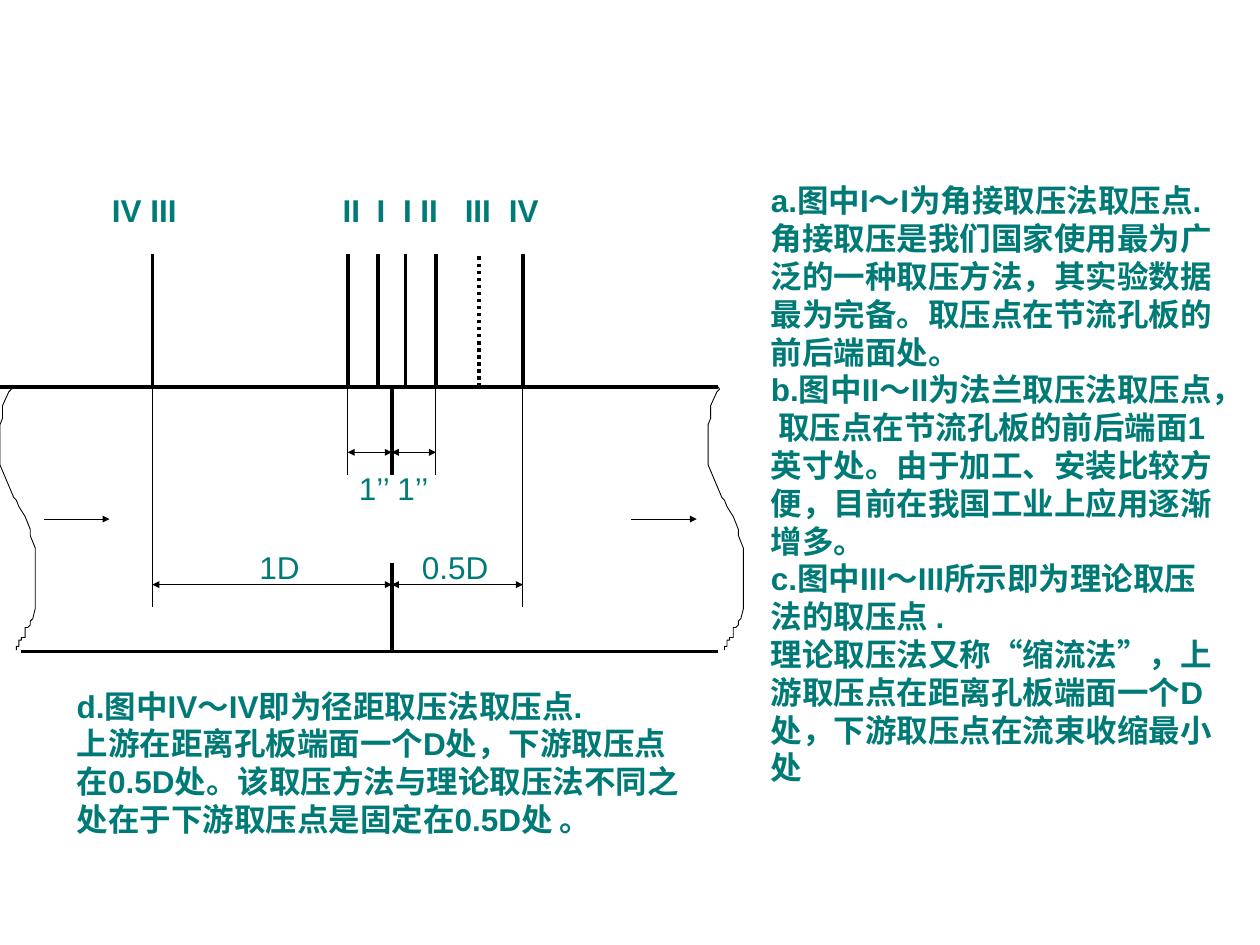
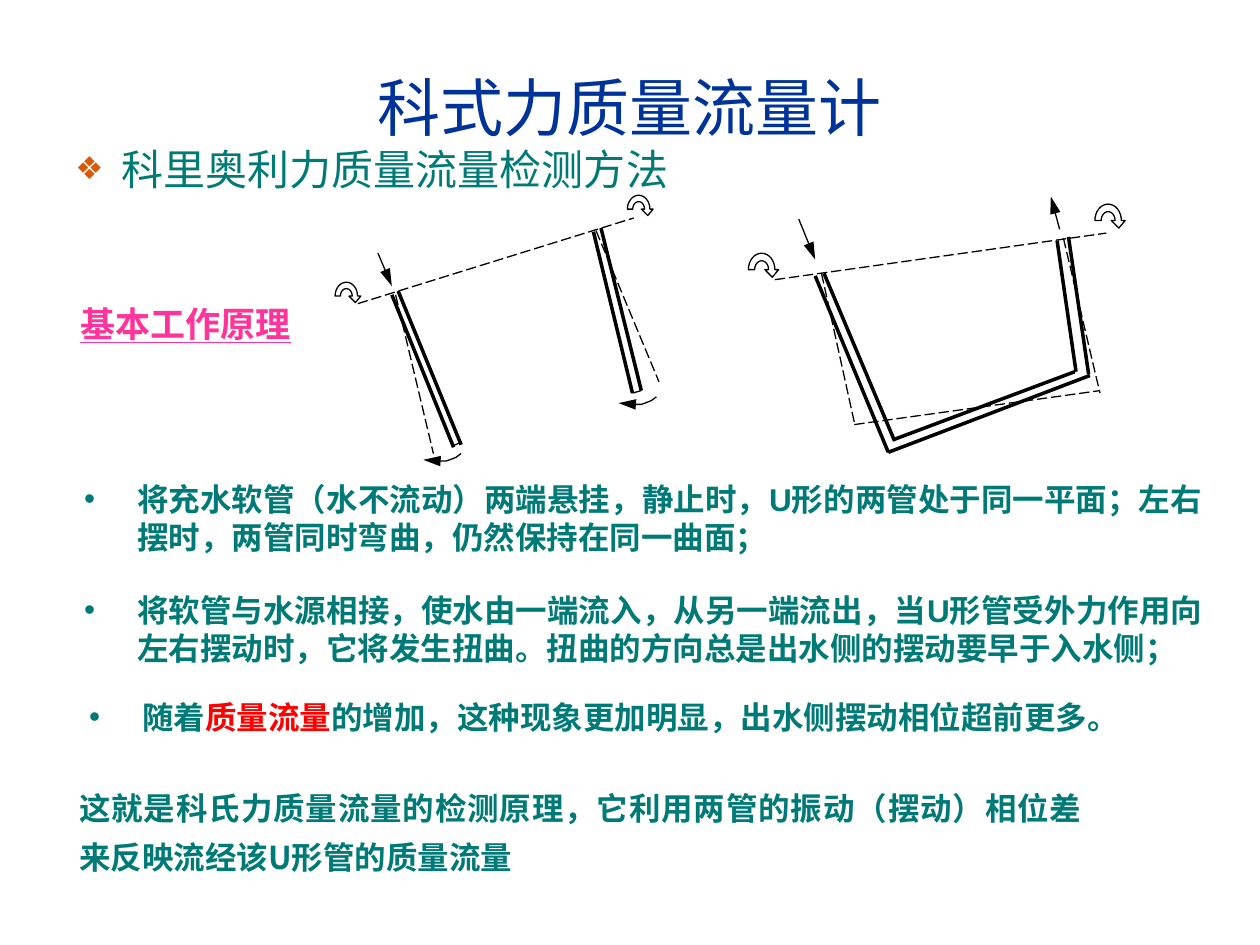
import dataclasses
import math

import lxml.etree
import pptx
import pptx.dml.color
import pptx.enum.dml
import pptx.enum.shapes
import pptx.enum.text
import pptx.oxml.ns
import pptx.util

Inches = pptx.util.Inches
COLORS = {"ink": "000000", "paper": "FFFFFF", "teal": "007A77", "title": "003399",
          "orange": "DC5900", "pink": "FF3399", "red": "FF0000"}
LATIN, CHINESE = "Arial", "Noto Sans CJK SC"
HEAVY, MEDIUM, FINE = 2, 0.75, 0.5
DASH = pptx.enum.dml.MSO_LINE.LONG_DASH
DOTS = pptx.enum.dml.MSO_LINE.ROUND_DOT
SMALL_HEAD, LONG_HEAD = ("sm", "sm"), ("med", "lg")
JUSTIFY = pptx.enum.text.PP_ALIGN.JUSTIFY
CENTER = pptx.enum.text.PP_ALIGN.CENTER


def rgb(name):
    """Return a named palette colour."""
    return pptx.dml.color.RGBColor.from_string(COLORS[name])


def add_child(parent, tag, **attributes):
    """Append a DrawingML element and return it."""
    return lxml.etree.SubElement(parent, pptx.oxml.ns.qn(tag), attributes)


def style_line(shape, width, dash=None, ends=(), head=SMALL_HEAD):
    """Give a shape a black line with optional dashes and arrowheads."""
    shape.line.color.rgb = rgb("ink")
    shape.line.width = pptx.util.Pt(width)
    if dash:
        shape.line.dash_style = dash
    for end in ends:
        add_child(shape.line._get_or_add_ln(), f"a:{end}End", type="triangle", w=head[0], len=head[1])


@dataclasses.dataclass
class Drawing:
    """A drawing area whose coordinates start at its own corner, in inches."""
    page: object
    left: float
    top: float

    def line(self, x1, y1, x2, y2, width, **style):
        """Draw a straight line."""
        corners = [Inches(value) for value in
                   (self.left + x1, self.top + y1, self.left + x2, self.top + y2)]
        connector = self.page.shapes.add_connector(pptx.enum.shapes.MSO_CONNECTOR.STRAIGHT, *corners)
        style_line(connector, width, **style)
        add_child(connector._element.spPr, "a:effectLst")

    def outline(self, points, x, y, width, closed=False, **style):
        """Draw a path through points placed at x, y."""
        placed = [(Inches(self.left + x + px), Inches(self.top + y + py)) for px, py in points]
        builder = self.page.shapes.build_freeform(*placed[0])
        builder.add_line_segments(placed[1:], close=closed)
        shape = builder.convert_to_shape()
        shape.shadow.inherit = False
        if closed:
            shape.fill.solid()
            shape.fill.fore_color.rgb = rgb("paper")
        else:
            shape.fill.background()
        style_line(shape, width, **style)


def add_bullet(para, mark, color, size, indent):
    """Give a paragraph a hanging bullet."""
    properties = para._p.get_or_add_pPr()
    properties.set("marL", str(Inches(indent)))
    properties.set("indent", str(-Inches(indent)))
    add_child(add_child(properties, "a:buClr"), "a:srgbClr", val=COLORS[color])
    add_child(properties, "a:buSzPct", val=str(size * 1000))
    add_child(properties, "a:buFont", typeface=LATIN)
    add_child(properties, "a:buChar", char=mark)


def add_text(page, box, paragraphs, size=18, color="teal", bold=True, font=LATIN, underline=False,
             align=None, spacing=None, bullet=None, tabs=(), wrap=True, middle=False):
    """Add a text box; each paragraph is a list of (text, colour or None)."""
    frame = page.shapes.add_textbox(*map(Inches, box)).text_frame
    frame.word_wrap = wrap
    if middle:
        frame.vertical_anchor = pptx.enum.text.MSO_ANCHOR.MIDDLE
    for index, runs in enumerate(paragraphs):
        para = frame.paragraphs[0] if index == 0 else frame.add_paragraph()
        if bullet:
            add_bullet(para, *bullet)
        if tabs:
            stops = add_child(para._p.get_or_add_pPr(), "a:tabLst")
            for stop in tabs:
                add_child(stops, "a:tab", pos=str(Inches(stop)), algn="l")
        para.alignment = align
        if spacing:
            para.line_spacing = spacing
        for text, run_color in runs:
            span = para.add_run()
            span.text = text
            span.font.size = pptx.util.Pt(size)
            span.font.bold = bold
            span.font.underline = underline
            span.font.name = font
            span.font.color.rgb = rgb(run_color or color)
            add_child(span._r.get_or_add_rPr(), "a:ea", typeface=CHINESE)


def plain(*texts):
    """Turn strings into single-run paragraphs."""
    return [[(text, None)] for text in texts]


TORN_EDGE = [
    (0.08, 0), (0.09, 0.02), (0.07, 0.04), (0.02, 0.15), (0.02, 0.25), (0, 0.3), (0, 0.62),
    (0.11, 0.88), (0.13, 0.9), (0.15, 0.95), (0.2, 1.03), (0.24, 1.13), (0.24, 1.18),
    (0.28, 1.28), (0.28, 1.76), (0.26, 1.84), (0.24, 1.86), (0.24, 1.89), (0.22, 1.91),
    (0.2, 1.91), (0.2, 1.99), (0.17, 1.99), (0.17, 2.01), (0.15, 2.01), (0.15, 2.06),
    (0.13, 2.06), (0.13, 2.09)]


def draw_pipe(page, left, top):
    """Draw the orifice pipe with its tapping points and dimensions."""
    pipe = Drawing(page, left, top)
    wall, floor, plate = 1.05, 3.15, 3.11
    far_up, near_up, near_down, far_down = 1.21, 2.76, 3.46, 4.15
    pipe.line(0, wall, 5.7, wall, HEAVY)
    pipe.line(0.17, floor, 5.7, floor, HEAVY)
    for edge in (wall, floor - 0.7):
        pipe.line(plate, edge, plate, edge + 0.7, HEAVY)
    for tap in (far_up, near_up, 3, 3.22, near_down, far_down):
        pipe.line(tap, wall, tap, 0, HEAVY)
    pipe.line(3.8, wall, 3.8, 0, HEAVY, dash=DOTS)
    for taps, end, level in (((far_up, far_down), 2.8, 2.62), ((near_up, near_down), 1.75, 1.57)):
        for tap in taps:
            pipe.line(tap, wall, tap, end, FINE)
            pipe.line(min(tap, plate), level, max(tap, plate), level, FINE, ends=("head", "tail"))
    for x in (0, 5.62):
        pipe.outline(TORN_EDGE, x, wall, FINE)
    for x in (0.35, 5.01):
        pipe.line(x, 2.1, x + 0.52, 2.1, FINE, ends=("tail",))
    add_text(page, (left + 0.79, top - 0.55, 3.82, 0.4), plain("IV III\tII\tI\tI II\tIII\tIV"),
             tabs=(1.83, 2.1, 2.31, 2.8, 3.15))
    add_text(page, (left + 2.75, top + 1.65, 0.95, 0.4), plain("1’’ 1’’"), bold=False)
    add_text(page, (left + 1.96, top + 2.28, 2.21, 0.4), plain("1D\t0.5D"), bold=False, tabs=(1.29,))


def build_tapping_page(deck):
    """Build the slide on pressure tapping methods."""
    page = deck.slides.add_slide(deck.slide_layouts[6])
    draw_pipe(page, 0, 2.02)
    add_text(page, (6.02, 1.39, 3.78, 5.2), plain(
        "a.图中I～I为角接取压法取压点.",
        "角接取压是我们国家使用最为广泛的一种取压方法，其实验数据最为完备。取压点在节流孔板的前后端面处。",
        "b.图中II～II为法兰取压法取压点， 取压点在节流孔板的前后端面1英寸处。由于加工、安装比较方便，目前在我国工业上应用逐渐增多。",
        "c.图中III～III所示即为理论取压法的取压点 .",
        "理论取压法又称“缩流法”，上游取压点在距离孔板端面一个D处，下游取压点在流束收缩最小处"))
    add_text(page, (0.51, 5.4, 5.04, 1.3), plain(
        "d.图中IV～IV即为径距取压法取压点.",
        "上游在距离孔板端面一个D处，下游取压点在0.5D处。该取压方法与理论取压法不同之处在于下游取压点是固定在0.5D处 。"))


def turn_arrow(scale):
    """Return the outline of a half-turn block arrow."""
    angles = [math.pi * step / 16 for step in range(17)]
    inner = [(0.105 + 0.055 * math.cos(a), 0.13 - 0.07 * math.sin(a)) for a in angles]
    outer = [(0.105 - 0.105 * math.cos(a), 0.13 - 0.13 * math.sin(a)) for a in angles]
    head = [(0.24, 0.13), (0.19, 0.19), (0.13, 0.13)]
    return [(x * scale, y * scale) for x, y in inner + outer + head]


SWEEP = [(0.3, 0), (0.26, 0.03), (0.21, 0.05), (0.18, 0.06), (0.14, 0.06), (0.07, 0.06), (0, 0.05)]


def draw_tube(page, left, top, walls, rests, flows, turns, turn_scale, caps=(), sweeps=()):
    """Draw a swinging tube: solid walls, dashed rest position and motion arrows."""
    tube = Drawing(page, left, top)
    for ends in rests:
        tube.line(*ends, MEDIUM, dash=DASH)
    for ends in walls:
        tube.line(*ends, HEAVY)
    for ends in caps:
        tube.line(*ends, MEDIUM)
    for ends in flows:
        tube.line(*ends, MEDIUM, ends=("tail",), head=LONG_HEAD)
    for x, y in turns:
        tube.outline(turn_arrow(turn_scale), x, y, MEDIUM, closed=True)
    for x, y in sweeps:
        tube.outline(SWEEP, x, y, MEDIUM, ends=("tail",), head=LONG_HEAD)


def build_coriolis_page(deck):
    """Build the slide on the Coriolis mass flowmeter."""
    page = deck.slides.add_slide(deck.slide_layouts[6])
    add_text(page, (0.5, 1.09, 9, 0.63), plain("科里奥利力质量流量检测方法"), size=24, bold=False,
             bullet=("❖", "orange", 75, 0.37))
    add_text(page, (0.5, 0.44, 9, 0.81), plain("科式力质量流量计"), size=36, color="title", bold=False,
             align=CENTER, middle=True)
    add_text(page, (0.54, 2.25, 1.87, 0.54), plain("基本工作原理"), size=20, color="pink", font=CHINESE,
             underline=True, align=JUSTIFY, spacing=1.3, wrap=False)
    points = (
        (0.57, 3.76, 0.7, plain("将充水软管（水不流动）两端悬挂，静止时，U形的两管处于同一平面；左右摆时，两管同时弯曲，仍然保持在同一曲面；")),
        (0.57, 4.64, 1, plain("将软管与水源相接，使水由一端流入，从另一端流出，当U形管受外力作用向左右摆动时，它将发生扭曲。扭曲的方向总是出水侧的摆动要早于入水侧； ")),
        (0.61, 5.49, 0.4, [[("随着", None), ("质量流量", "red"),
                            ("的增加，这种现象更加明显，出水侧摆动相位超前更多。", None)]]))
    for left, top, height, paragraphs in points:
        add_text(page, (left, top, 9.07, height), paragraphs, align=JUSTIFY,
                 bullet=("•", "teal", 100, 0.42))
    add_text(page, (0.53, 6.12, 8.16, 0.88),
             plain("这就是科氏力质量流量的检测原理，它利用两管的振动（摆动）相位差来反映流经该U形管的质量流量"),
             font=CHINESE, align=JUSTIFY, spacing=1.3)
    draw_tube(
        page, 2.6, 1.5,
        walls=[(0.56, 0.81, 1.06, 2.03), (0.51, 0.84, 1, 2.05),
               (2.11, 0.34, 2.42, 1.62), (2.17, 0.31, 2.49, 1.6)],
        rests=[(0.24, 0.91, 2.43, 0.23), (0.54, 0.84, 0.84, 2.1), (2.13, 0.33, 2.63, 1.53)],
        flows=[(0.4, 0.51, 0.51, 0.77)], turns=[(0.06, 0.74), (2.38, 0.05)], turn_scale=0.85,
        caps=[(0.99, 2.04, 1.06, 2.01), (2.42, 1.62, 2.49, 1.6)],
        sweeps=[(0.76, 2.1), (2.31, 1.65)])
    draw_tube(
        page, 5.9, 1.5,
        walls=[(0.64, 0.67, 1.2, 2), (2.49, 0.41, 2.64, 1.45), (0.57, 0.69, 1.15, 2.09),
               (2.58, 0.38, 2.74, 1.47), (1.19, 1.99, 2.63, 1.45), (1.15, 2.09, 2.75, 1.48)],
        rests=[(0.25, 0.72, 2.88, 0.35), (0.62, 0.67, 0.88, 1.85),
               (0.88, 1.87, 2.83, 1.6), (2.54, 0.39, 2.83, 1.62)],
        flows=[(0.44, 0.24, 0.57, 0.56), (2.51, 0.32, 2.44, 0.06)],
        turns=[(0.04, 0.51), (2.79, 0.12)], turn_scale=1)


def main():
    """Build and save the deck."""
    deck = pptx.Presentation()
    deck.slide_width, deck.slide_height = Inches(10), Inches(7.5)
    build_tapping_page(deck)
    build_coriolis_page(deck)
    deck.save("out.pptx")


if __name__ == "__main__":
    main()
